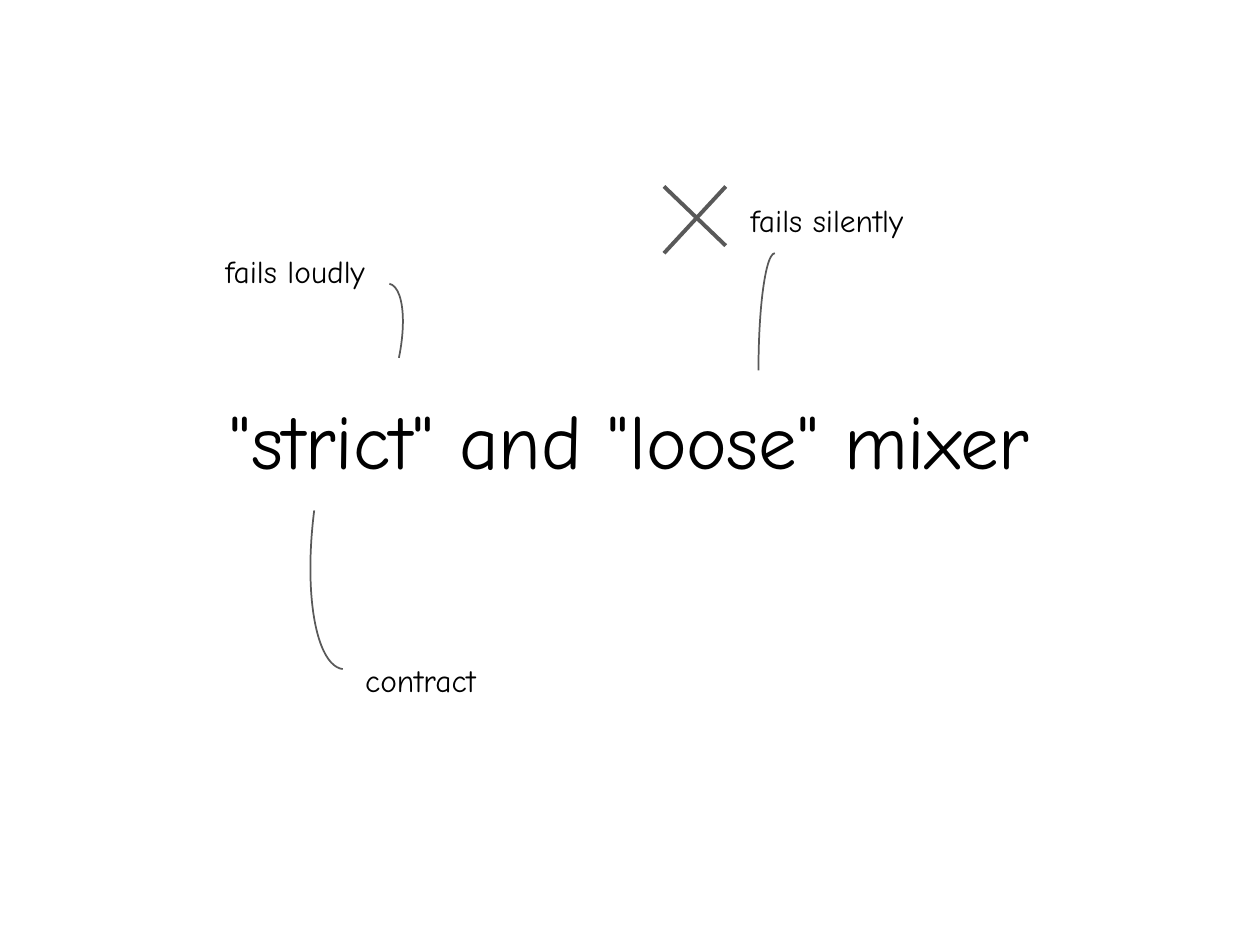
from pptx import Presentation
from pptx.dml.color import RGBColor
from pptx.enum.shapes import MSO_CONNECTOR, MSO_SHAPE
from pptx.enum.text import MSO_ANCHOR, MSO_AUTO_SIZE, PP_ALIGN
from pptx.oxml.ns import qn
from pptx.util import Inches, Pt
from lxml.etree import SubElement


def color(value):
    return RGBColor.from_string(value)


class Canvas:
    font_name = "Comic Neue"
    text_color = "000000"
    line_color = "595959"

    def __init__(self, slide):
        self.slide = slide

    def style_text(self, paragraph, text, size):
        paragraph.text = text
        paragraph.font.name = self.font_name
        paragraph.font.size = Pt(size)
        paragraph.font.color.rgb = color(self.text_color)

    def style_line(self, shape, width):
        shape.line.color.rgb = color(self.line_color)
        shape.line.width = Pt(width)

    def title(self, text, left, top, width, height):
        box = self.slide.shapes.add_textbox(*map(Inches, (left, top, width, height)))
        frame = box.text_frame
        frame.word_wrap = True
        frame.vertical_anchor = MSO_ANCHOR.MIDDLE
        paragraph = frame.paragraphs[0]
        paragraph.alignment = PP_ALIGN.CENTER
        self.style_text(paragraph, text, 44)

    def label(self, text, left, top, width):
        box = self.slide.shapes.add_textbox(*map(Inches, (left, top, width, 0.4)))
        frame = box.text_frame
        frame.word_wrap = False
        frame.auto_size = MSO_AUTO_SIZE.SHAPE_TO_FIT_TEXT
        self.style_text(frame.paragraphs[0], text, 18)

    def stroke(self, *ends):
        connector = self.slide.shapes.add_connector(
            MSO_CONNECTOR.STRAIGHT, *map(Inches, ends))
        self.style_line(connector, 2.25)
        SubElement(connector._element.spPr, qn("a:effectLst"))

    def arc(self, left, top, width, height, rotation=0, flip=False):
        shape = self.slide.shapes.add_shape(
            MSO_SHAPE.ARC, *map(Inches, (left, top, width, height)))
        shape.shadow.inherit = False
        shape.fill.background()
        self.style_line(shape, 1)
        shape.rotation = rotation
        if flip:
            shape._element.spPr.xfrm.set("flipH", "1")


def main():
    presentation = Presentation()
    presentation.slide_width = Inches(10)
    presentation.slide_height = Inches(7.5)
    canvas = Canvas(presentation.slides.add_slide(presentation.slide_layouts[6]))

    canvas.title('"strict" and "loose" mixer', 0.75, 2.68, 8.5, 1.61)

    # Cross beside "fails silently"
    canvas.stroke(5.27, 1.48, 5.76, 1.95)
    canvas.stroke(5.27, 2.01, 5.76, 1.48)

    canvas.label("contract", 2.8, 5.2, 1.23)
    canvas.label("fails loudly", 1.69, 1.95, 1.42)
    canvas.label("fails silently", 5.86, 1.55, 1.64)

    # Curves linking each label to its word in the title
    canvas.arc(6.02, 2.01, 0.26, 1.86, flip=True)
    canvas.arc(2.78, 2.24, 0.39, 1.12, rotation=11.9)
    canvas.arc(2.49, 2.88, 0.77, 2.44, rotation=187.3)

    presentation.save("out.pptx")


if __name__ == "__main__":
    main()
